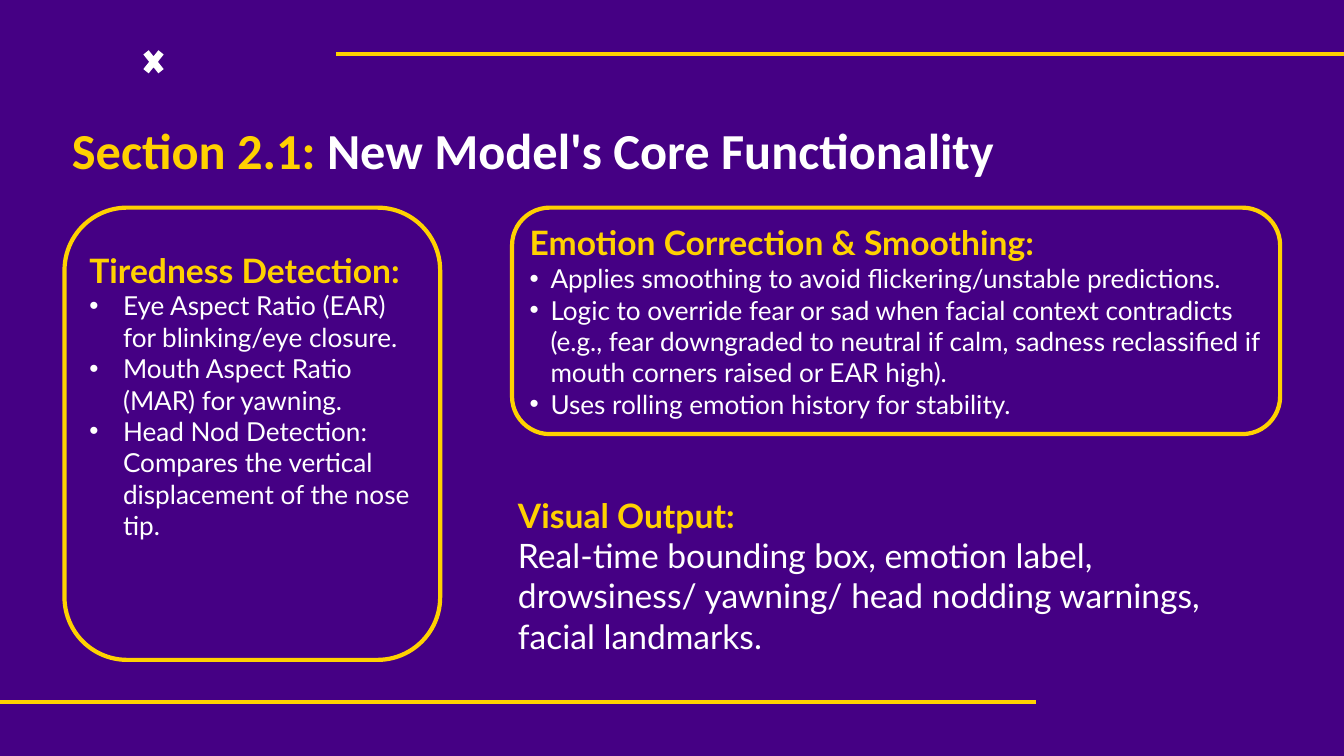
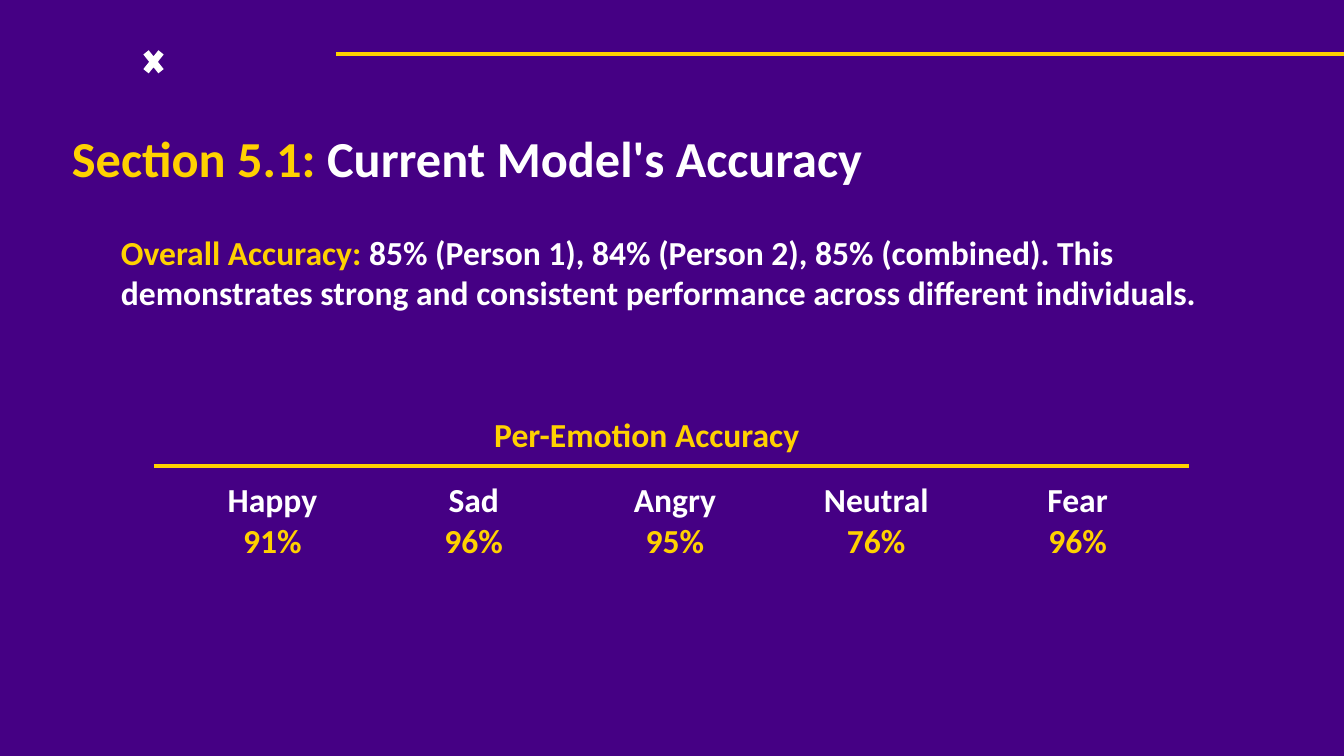
from dataclasses import dataclass
from typing import NamedTuple

from lxml import etree
from pptx import Presentation
from pptx import util as u
from pptx.dml.color import RGBColor
from pptx.enum import shapes, text
from pptx.oxml.ns import qn

# Slide grid: 40 columns by 22.5 rows of half-inch cells
WIDE, HIGH = u.Inches(20), u.Inches(11.25)
COLS, ROWS = 40, 22.5


@dataclass(frozen=True)
class Theme:
    back: str = "450084"
    gold: str = "FFD100"
    white: str = "FFFFFF"
    main: str = "Calibri"
    card: str = "Lato"
    title: float = 54
    head: float = 36
    body: float = 28
    rule: float = 4.5


T = Theme()


class Box(NamedTuple):
    col: float
    row: float
    wide: float
    high: float


class Rule(NamedTuple):
    start: float
    end: float
    row: float


class Run(NamedTuple):
    words: str
    color: str


@dataclass(frozen=True)
class Para:
    runs: tuple[Run, ...]
    size: float = T.head
    face: str = T.main
    bold: bool = True
    center: bool = False
    bullet: float = 0  # hanging indent in columns
    indent: float = 0
    space: float | u.Pt | None = None


@dataclass(frozen=True)
class Card:
    box: Box
    head: str
    items: tuple[str, ...]
    hang: float
    space: float | None = None
    top: bool = False


class Score(NamedTuple):
    mood: str
    share: str


# Content
TOP = Rule(10, COLS, 1.6)
BASE = Rule(0, 30.84, 20.9)
SPLIT = Rule(4.58, 35.4, 13.86)
CROSS = Box(4.14, 1.3, 0.86, 1.08)
CARDS = (
    Card(Box(1.92, 6.18, 11.18, 13.46), "Tiredness Detection:", (
        "Eye Aspect Ratio (EAR) for blinking/eye closure.",
        "Mouth Aspect Ratio (MAR) for yawning.",
        "Head Nod Detection: Compares the vertical displacement of the nose tip.",
    ), hang=1, space=1.5, top=True),
    Card(Box(15.24, 6.18, 22.86, 6.74), "Emotion Correction & Smoothing:", (
        "Applies smoothing to avoid flickering/unstable predictions.",
        "Logic to override fear or sad when facial context contradicts "
        "(e.g., fear downgraded to neutral if calm, sadness reclassified if "
        "mouth corners raised or EAR high).",
        "Uses rolling emotion history for stability.",
    ), hang=0.62),
)
SCORES = (
    Score("Happy", "91%"),
    Score("Sad", "96%"),
    Score("Angry", "95%"),
    Score("Neutral", "76%"),
    Score("Fear", "96%"),
)


# Helpers
def across(cols: float) -> int:
    return round(WIDE * cols / COLS)


def down(rows: float) -> int:
    return round(HIGH * rows / ROWS)


def place(box: Box) -> tuple[int, int, int, int]:
    return across(box.col), down(box.row), across(box.wide), down(box.high)


def tint(name: str) -> RGBColor:
    return RGBColor.from_string(name)


def write(frame, paras: tuple[Para, ...]) -> None:
    frame.word_wrap = True
    for spot, para in enumerate(paras):
        line = frame.add_paragraph() if spot else frame.paragraphs[0]
        line.alignment = text.PP_ALIGN.CENTER if para.center else text.PP_ALIGN.LEFT
        if para.space:
            line.line_spacing = para.space
        props = line._p.get_or_add_pPr()
        if para.bullet or para.indent:
            props.set("marL", str(across(para.bullet + para.indent)))
            props.set("indent", str(-across(para.bullet)))
        if para.bullet:
            etree.SubElement(props, qn("a:buFont"), typeface="Arial")
            etree.SubElement(props, qn("a:buChar"), char="•")
        font = line.font
        font.name, font.size, font.bold = para.face, u.Pt(para.size), para.bold
        same = len({run.color for run in para.runs}) == 1
        if same:
            font.color.rgb = tint(para.runs[0].color)
        for run in para.runs:
            piece = line.add_run()
            piece.text = run.words
            if not same:
                piece.font.color.rgb = tint(run.color)


def label(slide, box: Box, *paras: Para, flush: bool = False) -> None:
    frame = slide.shapes.add_textbox(*place(box)).text_frame
    if flush:
        frame.margin_left = frame.margin_right = 0
        frame.margin_top = frame.margin_bottom = 0
    write(frame, paras)


def stroke(slide, rule: Rule) -> None:
    line = slide.shapes.add_connector(
        shapes.MSO_CONNECTOR.STRAIGHT,
        across(rule.start), down(rule.row), across(rule.end), down(rule.row))
    line.line.color.rgb = tint(T.gold)
    line.line.width = u.Pt(T.rule)
    etree.SubElement(line._element.spPr, qn("a:effectLst"))


def panel(slide, card: Card) -> None:
    shape = slide.shapes.add_shape(
        shapes.MSO_SHAPE.ROUNDED_RECTANGLE, *place(card.box))
    shape.shadow.inherit = False
    shape.fill.background()
    shape.line.color.rgb = tint(T.gold)
    shape.line.width = u.Pt(T.rule)
    anchor = text.MSO_ANCHOR
    shape.text_frame.vertical_anchor = anchor.TOP if card.top else anchor.MIDDLE
    head = Para((Run(card.head, T.gold),), face=T.card, space=card.space)
    items = tuple(
        Para((Run(item, T.white),), T.body, T.card, bold=False, bullet=card.hang)
        for item in card.items)
    write(shape.text_frame, (head, *items))


def begin(deck, part: str, name: str, box: Box, space: u.Pt | None = None):
    """Start a slide with the shared background, cross, top rule and title."""
    slide = deck.slides.add_slide(deck.slide_layouts[6])
    fill = slide.background.fill
    fill.solid()
    fill.fore_color.rgb = tint(T.back)
    cross = slide.shapes.add_shape(shapes.MSO_SHAPE.MATH_MULTIPLY, *place(CROSS))
    cross.shadow.inherit = False
    cross.fill.solid()
    cross.fill.fore_color.rgb = tint(T.white)
    cross.line.fill.background()
    stroke(slide, TOP)
    runs = (Run(part + " ", T.gold), Run(name, T.white))
    label(slide, box, Para(runs, T.title, indent=0.96, space=space), flush=True)
    return slide


# Slides
def core(deck) -> None:
    slide = begin(deck, "Section 2.1:", "New Model's Core Functionality",
                  Box(1.18, 3.78, 30.84, 1.6), u.Pt(56.7))
    for card in CARDS:
        panel(slide, card)
    label(slide, Box(15.22, 14.62, 22.84, 5.04),
          Para((Run("Visual Output:", T.gold),), face=T.card),
          Para((Run("Real-time bounding box, emotion label, drowsiness/ yawning/ "
                    "head nodding warnings, facial landmarks.", T.white),),
               face=T.card, bold=False))
    stroke(slide, BASE)


def scores(deck) -> None:
    slide = begin(deck, "Section 5.1:", "Current Model's Accuracy",
                  Box(1.18, 3.78, 36.18, 1.82))
    label(slide, Box(3.4, 6.8, 33.24, 2.62), Para((
        Run("Overall Accuracy: ", T.gold),
        Run("85% (Person 1), 84% (Person 2), 85% (combined). This demonstrates "
            "strong and consistent performance across different individuals.",
            T.white))))
    label(slide, Box(13.66, 12.22, 11.18, 1.42),
          Para((Run("Per-Emotion Accuracy", T.gold),), center=True))
    left, step, wide, inset, high = 5.06, 5.99, 6.1, 0.19, 1.42
    for spot, score in enumerate(SCORES):
        col = left + spot * step
        label(slide, Box(col, 14.14, wide, high),
              Para((Run(score.mood, T.white),), center=True))
        label(slide, Box(col + inset, 15.38, wide - 2 * inset, high),
              Para((Run(score.share, T.gold),), center=True))
    stroke(slide, SPLIT)


def main() -> None:
    deck = Presentation()
    deck.slide_width, deck.slide_height = WIDE, HIGH
    core(deck)
    scores(deck)
    deck.save("out.pptx")


if __name__ == "__main__":
    main()
